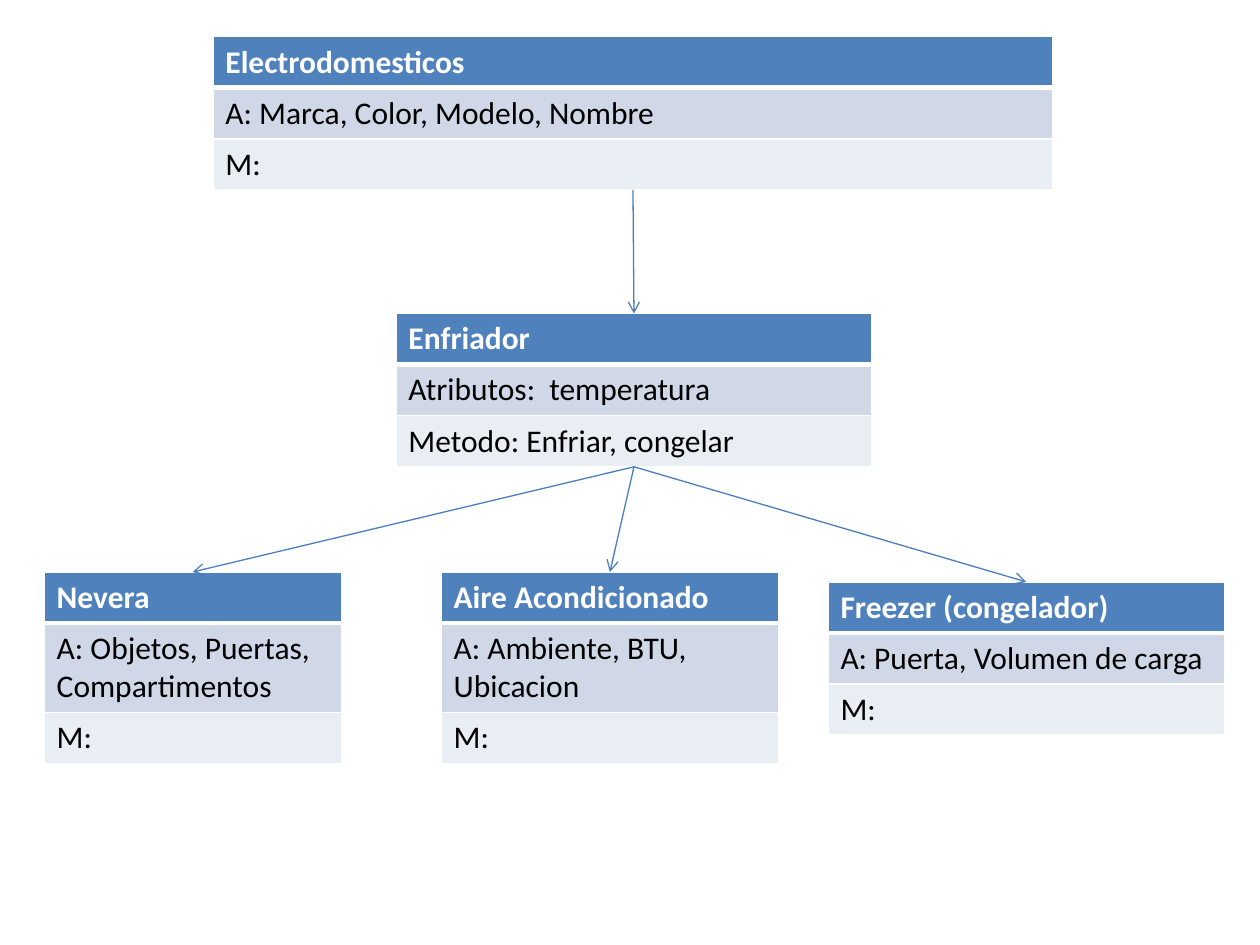
from pptx import Presentation
from pptx.dml.color import RGBColor
from pptx.enum.shapes import MSO_CONNECTOR
from pptx.oxml.ns import qn
from pptx.util import Cm, Pt
from lxml.etree import SubElement

ROW = 1.03
TALL_ROW = 1.78


def color(code):
    return RGBColor.from_string(code)


class ClassDiagram:
    font = "Calibri"
    size = 18
    fills = ("4F81BD", "D0D8E8", "E9EDF4")
    inks = ("FFFFFF", "000000", "000000")
    border = "FFFFFF"
    arrow = "4B7EBC"

    def __init__(self, slide):
        self.slide = slide

    def class_box(self, left, top, width, lines, attribute_height=ROW):
        heights = (ROW, attribute_height, ROW)
        frame = self.slide.shapes.add_table(
            len(lines), 1, Cm(left), Cm(top), Cm(width), Cm(sum(heights)))
        table = frame.table
        table.columns[0].width = Cm(width)
        for index, (line, height) in enumerate(zip(lines, heights)):
            table.rows[index].height = Cm(height)
            cell = table.cell(index, 0)
            self.borders(cell, top=3 if index == 1 else 1, bottom=3 if index == 0 else 1)
            cell.fill.solid()
            cell.fill.fore_color.rgb = color(self.fills[index])
            cell.text = line
            font = cell.text_frame.paragraphs[0].font
            font.name = self.font
            font.size = Pt(self.size)
            font.bold = index == 0
            font.color.rgb = color(self.inks[index])
        return frame

    def borders(self, cell, top, bottom):
        properties = cell._tc.get_or_add_tcPr()
        for side, width in (("L", 1), ("R", 1), ("T", top), ("B", bottom)):
            edge = SubElement(properties, qn(f"a:ln{side}"), w=str(Pt(width)))
            fill = SubElement(edge, qn("a:solidFill"))
            SubElement(fill, qn("a:srgbClr"), val=self.border)

    def inheritance(self, parent, child):
        link = self.slide.shapes.add_connector(
            MSO_CONNECTOR.STRAIGHT,
            parent.left + parent.width // 2, parent.top + parent.height,
            child.left + child.width // 2, child.top)
        link.line.color.rgb = color(self.arrow)
        link.line.width = Pt(0.75)
        SubElement(link.line._get_or_add_ln(), qn("a:tailEnd"), type="arrow")
        SubElement(link._element.spPr, qn("a:effectLst"))


def main():
    presentation = Presentation()
    presentation.slide_width = Cm(25.4)
    presentation.slide_height = Cm(19.05)
    diagram = ClassDiagram(presentation.slides.add_slide(presentation.slide_layouts[6]))

    appliances = diagram.class_box(
        4.29, 0.74, 16.94, ("Electrodomesticos", "A: Marca, Color, Modelo, Nombre", "M:"))
    cooler = diagram.class_box(
        7.98, 6.32, 9.6, ("Enfriador", "Atributos:  temperatura", "Metodo: Enfriar, congelar"))
    fridge = diagram.class_box(
        0.89, 11.53, 5.99, ("Nevera", "A: Objetos, Puertas, Compartimentos", "M:"), TALL_ROW)
    air_conditioner = diagram.class_box(
        8.89, 11.53, 6.81, ("Aire Acondicionado", "A: Ambiente, BTU, Ubicacion", "M:"), TALL_ROW)
    freezer = diagram.class_box(
        16.69, 11.73, 8, ("Freezer (congelador)", "A: Puerta, Volumen de carga", "M:"))

    diagram.inheritance(appliances, cooler)
    for machine in (fridge, air_conditioner, freezer):
        diagram.inheritance(cooler, machine)

    presentation.save("out.pptx")


if __name__ == "__main__":
    main()
